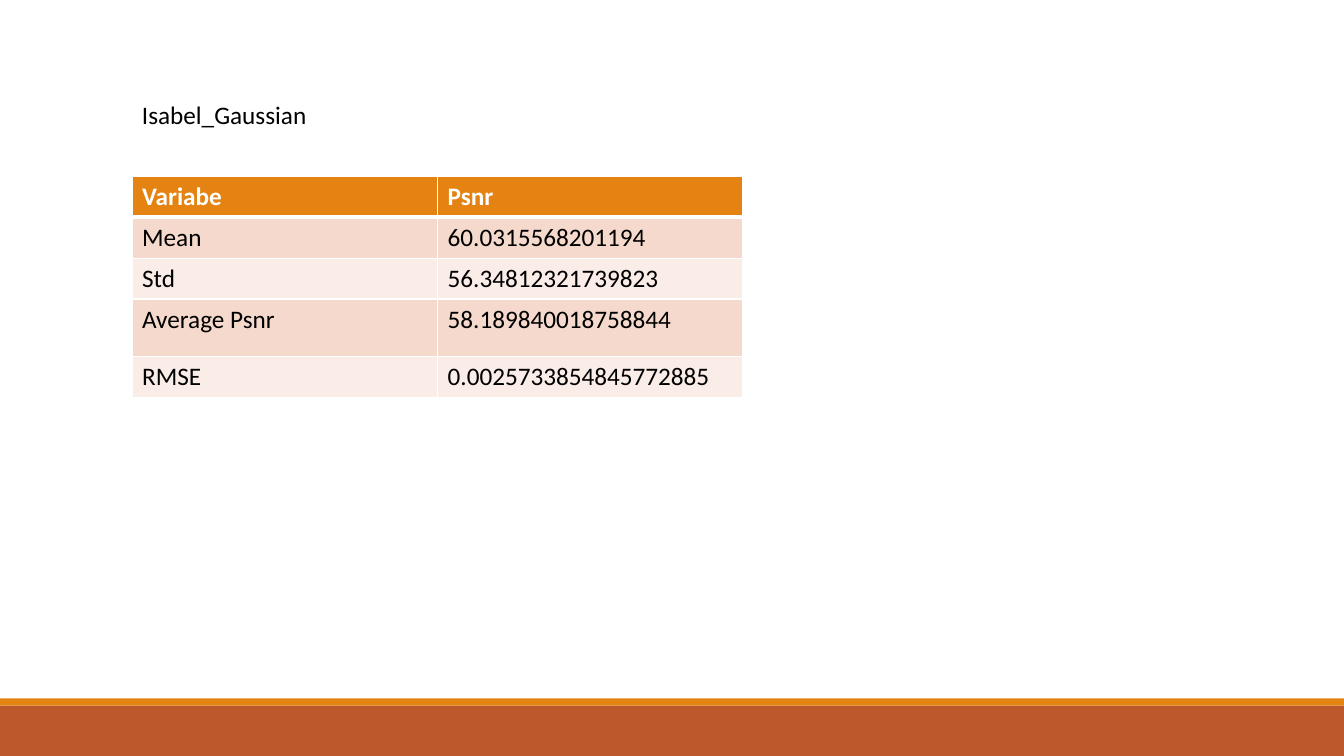
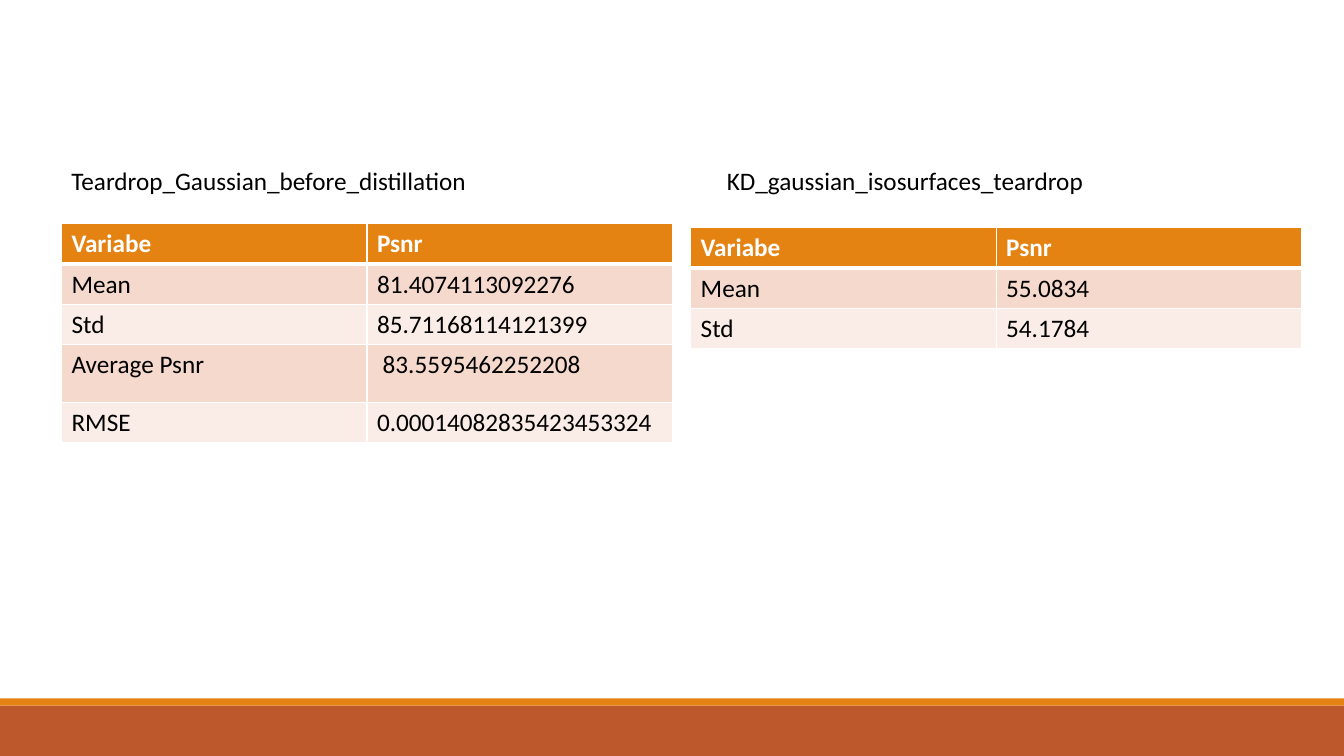
"""Build two slides of PSNR result tables."""
import lxml.etree
import pptx
import pptx.dml.color
import pptx.enum.shapes
import pptx.enum.text
import pptx.oxml.ns
import pptx.util

RGB = pptx.dml.color.RGBColor
WHITE = RGB(0xFF, 0xFF, 0xFF)
BLACK = RGB(0x00, 0x00, 0x00)
ORANGE = RGB(0xE4, 0x83, 0x12)
RUST = RGB(0xBD, 0x58, 0x2C)
BAND_DARK = RGB(0xF5, 0xD9, 0xCC)
BAND_LIGHT = RGB(0xFA, 0xED, 0xE7)

SLIDE_W, SLIDE_H = 1333, 750
FOOTER_H, STRIPE_H = 50, 7
COL_W, ROW_H, TALL_ROW_H = 303, 40, 57
CAPTION_H = 40
TALL_ROW = "Average Psnr"
HEADER = ("Variabe", "Psnr")
BODY_FONT = {"name": "Calibri", "size": pptx.util.Pt(18), "bold": False}
HEADER_FONT = {**BODY_FONT, "bold": True}

SLIDES = [
    [
        {
            "caption": ("Isabel_Gaussian", 131, 94, 572),
            "origin": (131, 175),
            "rows": [
                ("Mean", "60.0315568201194"),
                ("Std", "56.34812321739823"),
                (TALL_ROW, "58.189840018758844"),
                ("RMSE", "0.0025733854845772885"),
            ],
        },
    ],
    [
        {
            "caption": ("Teardrop_Gaussian_before_distillation", 61, 159, 572),
            "origin": (61, 222),
            "rows": [
                ("Mean", "81.4074113092276"),
                ("Std", "85.71168114121399"),
                (TALL_ROW, " 83.5595462252208"),
                ("RMSE", "0.00014082835423453324"),
            ],
        },
        {
            "caption": ("KD_gaussian_isosurfaces_teardrop", 711, 159, 502),
            "origin": (685, 226),
            "rows": [("Mean", "55.0834"), ("Std", "54.1784")],
        },
    ],
]


def px(n):
    """Turn px, at 100 to the inch, into EMU."""
    return pptx.util.Emu(n * 9144)


def write(tf, text, color, font):
    """Put one formatted run into a text frame."""
    r = tf.paragraphs[0].add_run()
    r.text = text
    for name, value in font.items():
        setattr(r.font, name, value)
    r.font.color.rgb = color


def add_band(s, top, height, color):
    """Draw a full-width band."""
    sp = s.shapes.add_shape(pptx.enum.shapes.MSO_SHAPE.RECTANGLE,
                            0, px(top), px(SLIDE_W), px(height))
    sp.shadow.inherit = False
    sp.fill.solid()
    sp.fill.fore_color.rgb = color
    sp.line.fill.background()


def add_footer(s):
    """Draw the footer band and the stripe above it."""
    top = SLIDE_H - FOOTER_H
    add_band(s, top, FOOTER_H, RUST)
    add_band(s, top - STRIPE_H, STRIPE_H, ORANGE)


def add_caption(s, text, left, top, width):
    """Place the caption of a table."""
    sp = s.shapes.add_textbox(px(left), px(top), px(width), px(CAPTION_H))
    tf = sp.text_frame
    tf.word_wrap = True
    tf.auto_size = pptx.enum.text.MSO_AUTO_SIZE.SHAPE_TO_FIT_TEXT
    write(tf, text, BLACK, BODY_FONT)


def set_borders(cell, widths):
    """Give a cell white borders with widths in points by side."""
    tc_pr = cell._tc.get_or_add_tcPr()
    qn = pptx.oxml.ns.qn
    for side, width in widths.items():
        ln = lxml.etree.SubElement(tc_pr, qn(f"a:ln{side}"),
                                   w=str(pptx.util.Pt(width)))
        fill = lxml.etree.SubElement(ln, qn("a:solidFill"))
        lxml.etree.SubElement(fill, qn("a:srgbClr"), val=str(WHITE))


def add_results(s, left, top, rows):
    """Place a banded table of results under a header row."""
    rows = [HEADER, *rows]
    heights = [TALL_ROW_H if row[0] == TALL_ROW else ROW_H for row in rows]
    table = s.shapes.add_table(len(rows), len(HEADER), px(left), px(top),
                               px(COL_W * len(HEADER)), px(sum(heights))).table
    for col in table.columns:
        col.width = px(COL_W)
    for i, (row, height) in enumerate(zip(rows, heights)):
        table.rows[i].height = px(height)
        if i == 0:
            fill, color, font = ORANGE, WHITE, HEADER_FONT
        else:
            fill = BAND_DARK if i % 2 else BAND_LIGHT
            color, font = BLACK, BODY_FONT
        borders = {"L": 1, "R": 1, "T": 3 if i == 1 else 1, "B": 3 if i == 0 else 1}
        for j, text in enumerate(row):
            cell = table.cell(i, j)
            set_borders(cell, borders)
            cell.fill.solid()
            cell.fill.fore_color.rgb = fill
            write(cell.text_frame, text, color, font)


def add_results_slide(prs, blocks):
    """Add a slide with captioned result tables."""
    s = prs.slides.add_slide(prs.slide_layouts[6])
    add_footer(s)
    for block in blocks:
        add_results(s, *block["origin"], block["rows"])
        add_caption(s, *block["caption"])


def main():
    """Build and save the presentation."""
    prs = pptx.Presentation()
    prs.slide_width, prs.slide_height = px(SLIDE_W), px(SLIDE_H)
    for blocks in SLIDES:
        add_results_slide(prs, blocks)
    prs.save("out.pptx")


if __name__ == "__main__":
    main()
